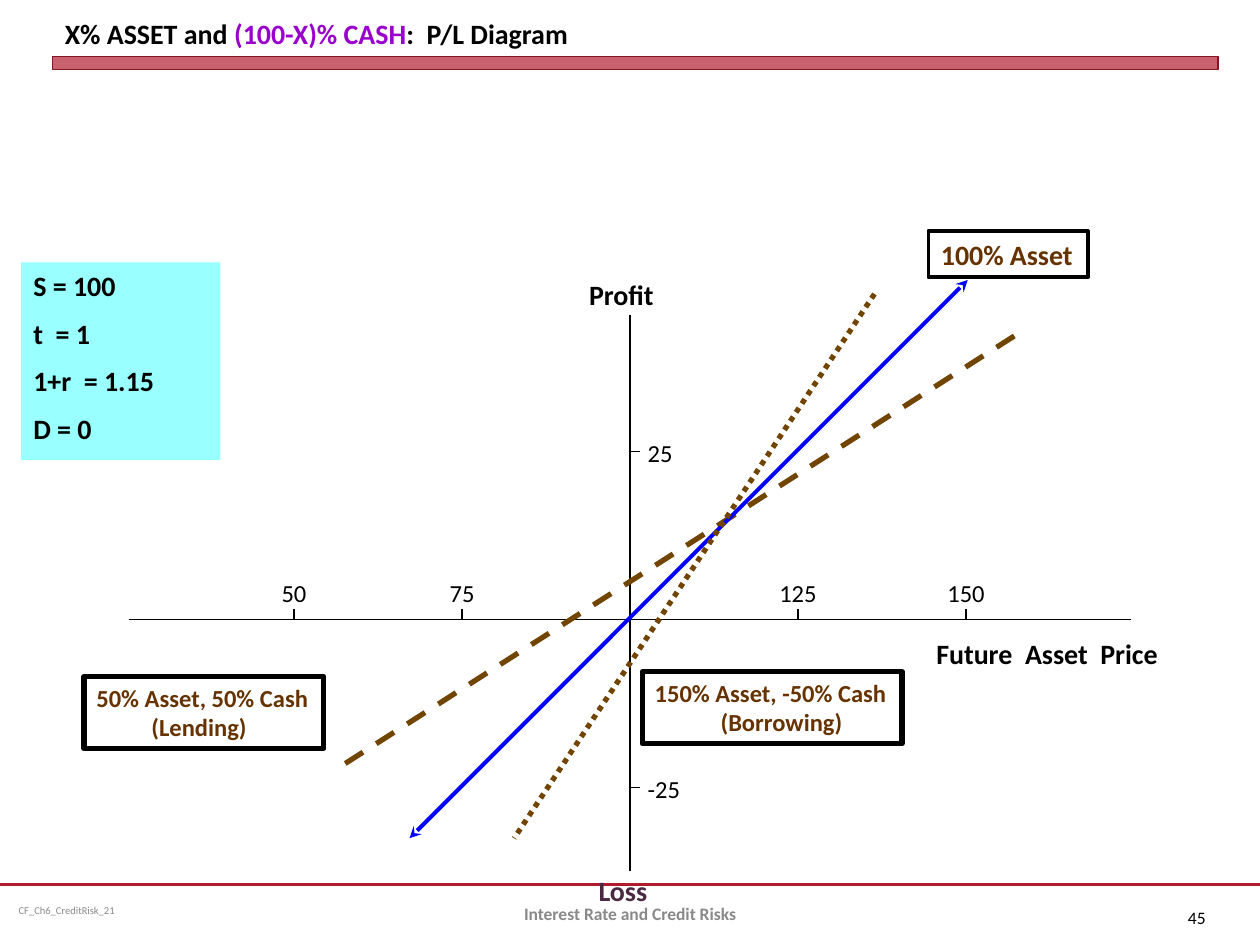
from dataclasses import dataclass
from typing import Optional

from lxml import etree
from pptx import Presentation
from pptx.dml.color import RGBColor
from pptx.enum.dml import MSO_LINE
from pptx.enum.shapes import MSO_CONNECTOR, MSO_SHAPE
from pptx.enum.text import MSO_ANCHOR, PP_ALIGN
from pptx.oxml.ns import qn
from pptx.util import Pt

STRAIGHT = MSO_CONNECTOR.STRAIGHT
RECTANGLE = MSO_SHAPE.RECTANGLE
DASH, DOTS = MSO_LINE.DASH, MSO_LINE.ROUND_DOT
TOP, MIDDLE, BOTTOM = MSO_ANCHOR.TOP, MSO_ANCHOR.MIDDLE, MSO_ANCHOR.BOTTOM
LEFT, CENTER, RIGHT = PP_ALIGN.LEFT, PP_ALIGN.CENTER, PP_ALIGN.RIGHT

FONT = "Calibri"
BLACK = RGBColor(0x00, 0x00, 0x00)
GRAY = RGBColor(0x89, 0x89, 0x89)
RED = RGBColor(0xB0, 0x1C, 0x2E)
DARK_RED = RGBColor(0x82, 0x15, 0x22)
PURPLE = RGBColor(0x99, 0x00, 0xCC)
PLUM = RGBColor(0x4B, 0x29, 0x42)
CYAN = RGBColor(0x99, 0xFF, 0xFF)
BLUE = RGBColor(0x00, 0x00, 0xFF)
OCHRE = RGBColor(0x71, 0x44, 0x00)
BROWN = RGBColor(0x66, 0x33, 0x00)

# Axes: 25 price units span 96 points, and the origin is a price of 100
ORIGIN_X, ORIGIN_Y = 360, 354
UNIT = 96 / 25
TICK = 6


@dataclass
class Label:
    left: float
    top: float
    width: float
    height: float
    lines: tuple
    size: float = 16
    color: RGBColor = BLACK
    bold: bool = True
    align: PP_ALIGN = LEFT
    anchor: MSO_ANCHOR = TOP
    space: float = 0
    inset: float = 7.2


@dataclass
class Payoff:
    start: tuple
    end: tuple
    color: RGBColor
    weight: float
    dash: Optional[MSO_LINE] = None
    arrows: bool = False


@dataclass
class Tag:
    label: Label
    border: float
    indent: float = 0  # of the second line


LABELS = [
    Label(5.5, 506, 186, 28, ("CF_Ch6_CreditRisk_21",), 6, GRAY, False,
          anchor=MIDDLE, inset=5.2),
    Label(660, 510, 36, 28.8, ("45",), 10, bold=False, align=RIGHT, anchor=MIDDLE),
    Label(528, 360, 186, 26.6, ("Future  Asset  Price",)),
    Label(335, 495.5, 53, 26.6, ("Loss",), color=PLUM),
    Label(329.5, 155, 59, 26.6, ("Profit",)),
    Label(246, 507.6, 228, 28.8, ("Interest Rate and Credit Risks",), 10, GRAY,
          align=CENTER, anchor=MIDDLE),
]

PAYOFFS = [
    Payoff((579.6, 192), (191.5, 440), OCHRE, 3, DASH),
    Payoff((553, 160), (234, 479), BLUE, 2.25, arrows=True),
    Payoff((499.7, 168), (293.8, 479), OCHRE, 3, DOTS),
]

TAGS = [
    Tag(Label(48, 386.6, 137, 41.2, ("50% Asset, 50% Cash", "(Lending)"), 14, BROWN), 3, 31.5),
    Tag(Label(530.6, 132, 91, 26.6, ("100% Asset",), 16, BROWN), 2.25),
    Tag(Label(367, 383.8, 148.5, 41.2, ("150% Asset, -50% Cash", "(Borrowing)"), 14, BROWN),
        3, 37.7),
]


def write(box, label: Label, wrap: bool = True) -> None:
    frame = box.text_frame
    frame.word_wrap = wrap
    frame.vertical_anchor = label.anchor
    frame.margin_left = frame.margin_right = Pt(label.inset)
    frame.margin_top = frame.margin_bottom = Pt(label.inset / 2)
    for number, line in enumerate(label.lines):
        para = frame.add_paragraph() if number else frame.paragraphs[0]
        para.text = line
        para.alignment = label.align
        if number:
            para.space_before = Pt(label.space)
        font = para.font
        font.name, font.size, font.bold = FONT, Pt(label.size), label.bold
        font.color.rgb = label.color


def add_text(page, label: Label):
    box = page.shapes.add_textbox(Pt(label.left), Pt(label.top), Pt(label.width), Pt(label.height))
    write(box, label)
    return box


def add_box(page, left: float, top: float, width: float, height: float):
    box = page.shapes.add_shape(RECTANGLE, Pt(left), Pt(top), Pt(width), Pt(height))
    box.shadow.inherit = False
    return box


def add_line(page, start: tuple, end: tuple, color: RGBColor = BLACK, weight: float = 1,
             dash: Optional[MSO_LINE] = None, arrows: bool = False) -> None:
    line = page.shapes.add_connector(STRAIGHT, *(Pt(value) for value in start + end))
    line.line.color.rgb = color
    line.line.width = Pt(weight)
    if dash is not None:
        line.line.dash_style = dash
    if arrows:
        for name in ("a:headEnd", "a:tailEnd"):
            etree.SubElement(line.line._ln, qn(name), type="stealth")
    etree.SubElement(line._element.spPr, qn("a:effectLst"))


def add_tag(page, tag: Tag) -> None:
    label = tag.label
    box = add_box(page, label.left, label.top, label.width, label.height)
    box.fill.background()
    box.line.color.rgb = BLACK
    box.line.width = Pt(tag.border)
    write(box, label, wrap=False)
    for para in box.text_frame.paragraphs[1:]:
        para._p.get_or_add_pPr().set("marL", str(Pt(tag.indent)))


def add_header(page) -> None:
    bar = add_box(page, 30, 32.4, 666, 7.2)
    bar.fill.solid()
    bar.fill.fore_color.rgb = RED
    color = bar._element.spPr.find(qn("a:solidFill"))[0]
    etree.SubElement(color, qn("a:alpha"), val="69000")
    bar.line.color.rgb = DARK_RED
    bar.line.width = Pt(0)

    title = add_text(page, Label(30, 3.6, 666, 28.8, ("",), anchor=BOTTOM))
    para = title.text_frame.paragraphs[0]
    for text, tint in (("X% ASSET and ", BLACK), ("(100-X)% CASH", PURPLE),
                       (":  P/L Diagram", BLACK)):
        span = para.add_run()
        span.text = text
        span.font.color.rgb = tint


def add_axes(page) -> None:
    add_line(page, (73.5, ORIGIN_Y), (646.5, ORIGIN_Y))
    add_line(page, (ORIGIN_X, 498), (ORIGIN_X, 180))
    for price in (50, 75, 125, 150):
        x = ORIGIN_X + (price - 100) * UNIT
        add_line(page, (x, ORIGIN_Y), (x, ORIGIN_Y - TICK))
        add_text(page, Label(x - 27, ORIGIN_Y - 27, 54, 24.5, (str(price),), 14,
                             bold=False, align=CENTER))
    for profit in (25, -25):
        y = ORIGIN_Y - profit * UNIT
        add_line(page, (ORIGIN_X, y), (ORIGIN_X + TICK, y))
        add_text(page, Label(ORIGIN_X + 3, y - 11, 48, 24.5, (str(profit),), 14, bold=False))


def main() -> None:
    deck = Presentation()
    deck.slide_width, deck.slide_height = Pt(720), Pt(540)
    page = deck.slides.add_slide(deck.slide_layouts[6])

    # Header and footer rule
    add_line(page, (0, 505.5), (720, 505.5), RED, 1.25)
    add_header(page)

    # Assumptions
    panel = add_box(page, 12, 150, 114, 113)
    panel.fill.solid()
    panel.fill.fore_color.rgb = CYAN
    panel.line.fill.background()
    write(panel, Label(12, 150, 114, 113, ("S = 100", "t  = 1", "1+r  = 1.15", "D = 0"), space=8))

    # Diagram
    add_axes(page)
    for payoff in PAYOFFS:
        add_line(page, payoff.start, payoff.end, payoff.color, payoff.weight,
                 payoff.dash, payoff.arrows)
    for tag in TAGS:
        add_tag(page, tag)

    # Axis names and footer
    for label in LABELS:
        add_text(page, label)

    deck.save("out.pptx")


if __name__ == "__main__":
    main()
